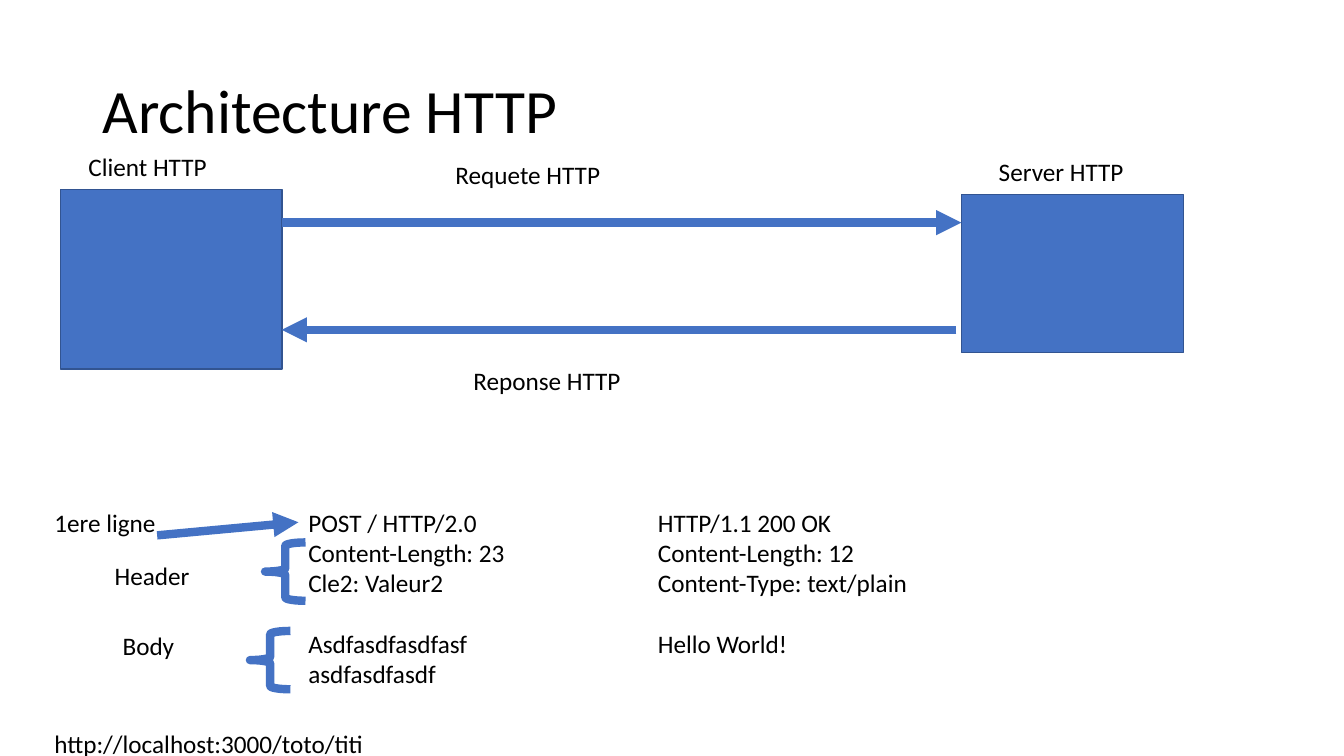
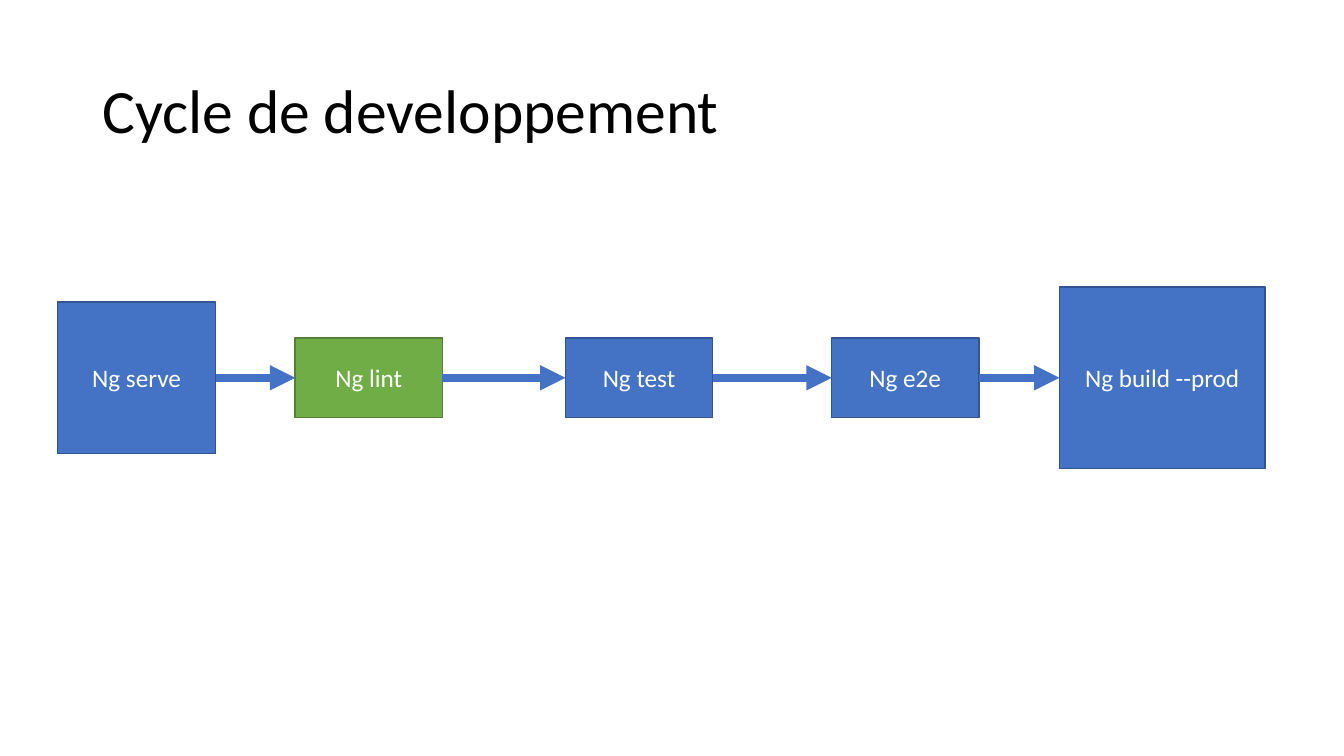
"""Build two slides: the HTTP architecture and the development cycle."""
from lxml import etree
from pptx import Presentation
from pptx.dml.color import RGBColor
from pptx.enum import shapes, text
from pptx.oxml import ns
from pptx.util import Cm, Pt

BLUE, BLUE_EDGE = "4472C4", "325491"
GREEN, GREEN_EDGE = "70AD47", "538035"
BLACK, WHITE = "000000", "FFFFFF"
TITLE_FONT = {"name": "Calibri", "size": Pt(44)}
BODY_FONT = {"name": "Calibri", "size": Pt(18)}
MIDDLE = 9.52
BLANK_LINE = Pt(22)


def color(value):
    return RGBColor.from_string(value)


def write(shape, lines, font, ink, align):
    frame = shape.text_frame
    frame.word_wrap = True
    frame.text = "\n".join(lines)
    for paragraph in frame.paragraphs:
        paragraph.alignment = align
        paragraph.font.color.rgb = color(ink)
        for name, value in font.items():
            setattr(paragraph.font, name, value)


presentation = Presentation()
presentation.slide_width = Cm(33.87)
presentation.slide_height = Cm(19.05)
title_layout = presentation.slide_layouts.get_by_name("Title Only")
title_place = {"left": Cm(2.33), "top": Cm(1.01), "width": Cm(29.21), "height": Cm(3.68)}
for name, value in title_place.items():
    setattr(title_layout.placeholders[0], name, value)

slides = []
for heading in ("Architecture HTTP", "Cycle de developpement"):
    slide = presentation.slides.add_slide(title_layout)
    title = slide.shapes.title
    write(title, [heading], TITLE_FONT, BLACK, text.PP_ALIGN.LEFT)
    title.text_frame.vertical_anchor = text.MSO_ANCHOR.MIDDLE
    title.text_frame.paragraphs[0].line_spacing = 0.9
    slides.append(slide)
architecture, cycle = slides

boxes = [
    (architecture, "", 1.52, 4.78, 5.59, 4.52, BLUE, BLUE_EDGE),
    (architecture, "", 24.23, 4.9, 5.59, 3.99, BLUE, BLUE_EDGE),
]
arrows = [
    (architecture, 7.1, 5.61, 24.23, 5.61),
    (architecture, 24.1, 8.31, 7.1, 8.31),
    (architecture, 3.96, 13.49, 7.52, 13.16),
]

steps = [
    ("Ng serve", 1.45, 3.99, 3.81, BLUE, BLUE_EDGE),
    ("Ng lint", 7.44, 3.71, 2.01, GREEN, GREEN_EDGE),
    ("Ng test", 14.25, 3.71, 2.01, BLUE, BLUE_EDGE),
    ("Ng e2e", 20.96, 3.71, 2.01, BLUE, BLUE_EDGE),
    ("Ng build --prod", 26.7, 5.18, 4.57, BLUE, BLUE_EDGE),
]
for label, left, width, height, fill, edge in steps:
    boxes.append((cycle, label, left, MIDDLE - height / 2, width, height, fill, edge))
for step, following in zip(steps, steps[1:]):
    arrows.append((cycle, step[1] + step[2], MIDDLE, following[1], MIDDLE))

for slide, label, left, top, width, height, fill, edge in boxes:
    box = slide.shapes.add_shape(
        shapes.MSO_SHAPE.RECTANGLE, Cm(left), Cm(top), Cm(width), Cm(height))
    box.shadow.inherit = False
    box.fill.solid()
    box.fill.fore_color.rgb = color(fill)
    box.line.color.rgb = color(edge)
    box.line.width = Pt(1)
    if label:
        write(box, [label], BODY_FONT, WHITE, text.PP_ALIGN.CENTER)
        box.text_frame.vertical_anchor = text.MSO_ANCHOR.MIDDLE

for slide, *ends in arrows:
    arrow = slide.shapes.add_connector(
        shapes.MSO_CONNECTOR.STRAIGHT, *[Cm(end) for end in ends])
    arrow.line.color.rgb = color(BLUE)
    arrow.line.width = Pt(6)
    etree.SubElement(arrow.line._get_or_add_ln(), ns.qn("a:tailEnd"), type="triangle")
    etree.SubElement(arrow._element.spPr, ns.qn("a:effectLst"))

for left, top in ((6.68, 13.67), (6.3, 15.9)):
    brace = architecture.shapes.add_shape(
        shapes.MSO_SHAPE.LEFT_BRACE, Cm(left), Cm(top), Cm(1.02), Cm(1.47))
    brace.shadow.inherit = False
    brace.fill.background()
    brace.line.color.rgb = color(BLUE)
    brace.line.width = Pt(6)

request = ["POST / HTTP/2.0", "Content-Length: 23", "Cle2: Valeur2",
           "Asdfasdfasdfasf", "asdfasdfasdf"]
response = ["HTTP/1.1 200 OK", "Content-Length: 12", "Content-Type: text/plain",
            "Hello World!"]
labels = [
    (["Client HTTP"], 1.98, 3.68, 4, 1.02),
    (["Server HTTP"], 24.92, 3.81, 4, 1.02),
    (["Requete HTTP"], 11.23, 3.89, 4.5, 1.02),
    (["Reponse HTTP"], 11.68, 9.07, 4.5, 1.02),
    (request, 7.52, 12.65, 6, 4.88),
    (response, 16.33, 12.65, 7.5, 4.11),
    (["1ere ligne"], 1.12, 12.65, 3.3, 1.02),
    (["Header"], 2.64, 14, 3.28, 1.02),
    (["Body"], 2.84, 15.75, 2.2, 1.02),
    (["http://localhost:3000/toto/titi"], 1.12, 18.24, 9, 1.02),
]
for lines, *place in labels:
    label = architecture.shapes.add_textbox(*[Cm(length) for length in place])
    write(label, lines, BODY_FONT, BLACK, text.PP_ALIGN.LEFT)
    if len(lines) > 1:
        label.text_frame.paragraphs[3].space_before = BLANK_LINE

presentation.save("out.pptx")
